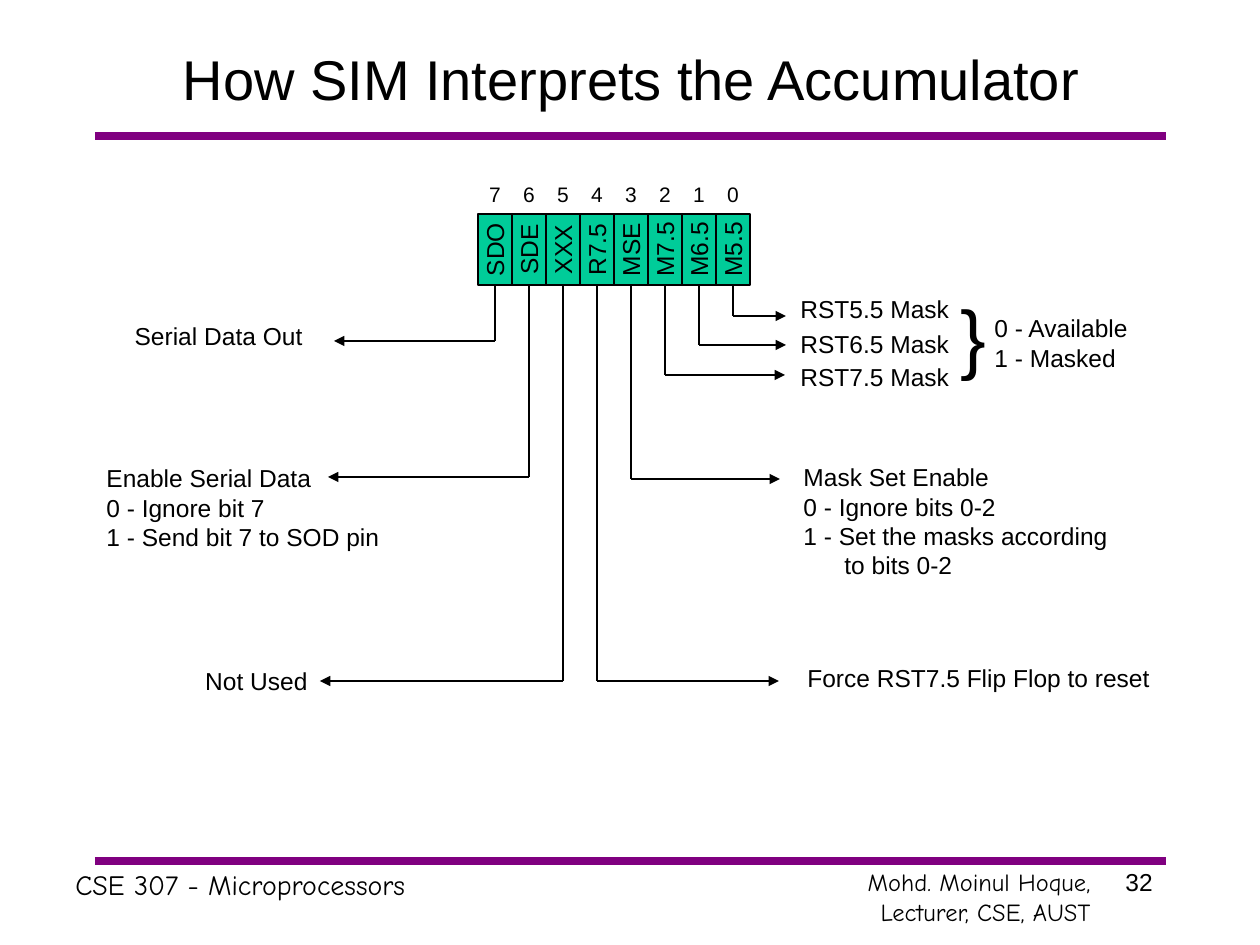
from pptx import Presentation
from pptx.dml.color import RGBColor
from pptx.enum.shapes import MSO_CONNECTOR, MSO_SHAPE
from pptx.enum.text import MSO_ANCHOR, PP_ALIGN
from pptx.oxml.ns import qn
from pptx.util import Emu, Pt
from lxml.etree import SubElement

PX = 914400 / 126
COLORS = {"text": "000000", "rule": "800080", "register": "00CC99"}
LEFT, CENTER, RIGHT = PP_ALIGN.LEFT, PP_ALIGN.CENTER, PP_ALIGN.RIGHT

# Register geometry
REG_X, REG_Y, CELL_W, REG_H = 478, 214, 34, 71

# Bit name, height where its lead turns, x of the arrow tip; bit 7 first
BITS = [
    ("SDO", 341, 334),
    ("SDE", 477, 328),
    ("XXX", 681, 320),
    ("R7.5", 681, 779),
    ("MSE", 479, 780),
    ("M7.5", 375, 785),
    ("M6.5", 345, 786),
    ("M5.5", 316, 786),
]

# Box, alignment, lines
LABELS = [
    ((115, 315, 200, 43), RIGHT, ["Serial Data Out"]),
    ((94, 457, 310, 101), LEFT,
     ["Enable Serial Data", "0 - Ignore bit 7", "1 - Send bit 7 to SOD pin"]),
    ((180, 660, 140, 43), RIGHT, ["Not Used"]),
    ((788, 288, 180, 43), LEFT, ["RST5.5 Mask"]),
    ((788, 323, 180, 43), LEFT, ["RST6.5 Mask"]),
    ((788, 356, 180, 43), LEFT, ["RST7.5 Mask"]),
    ((982, 307, 168, 72), LEFT, ["0 - Available", "1 - Masked"]),
    ((791, 456, 345, 131), LEFT,
     ["Mask Set Enable", "0 - Ignore bits 0-2", "1 - Set the masks according", "to bits 0-2"]),
    ((795, 657, 380, 43), LEFT, ["Force RST7.5 Flip Flop to reset"]),
]
CONTINUED, INDENT = "to bits 0-2", 41


def px(n):
    return Emu(round(n * PX))


def color(name):
    return RGBColor.from_string(COLORS[name])


def add_text(s, box, lines, size=14, align=LEFT, font="Arial",
             anchor=MSO_ANCHOR.TOP, rotation=0):
    tb = s.shapes.add_textbox(*map(px, box))
    tb.rotation = rotation
    tf = tb.text_frame
    tf.word_wrap = True
    tf.vertical_anchor = anchor
    tf.text = "\n".join(lines)
    for p in tf.paragraphs:
        p.alignment = align
        p.font.size = Pt(size)
        p.font.name = font
        p.font.color.rgb = color("text")
        if p.text == CONTINUED:
            p._p.get_or_add_pPr().set("marL", str(px(INDENT)))


def add_line(s, x1, y1, x2, y2, name="text", width=0.75, arrow=False):
    c = s.shapes.add_connector(MSO_CONNECTOR.STRAIGHT, *map(px, (x1, y1, x2, y2)))
    c.line.color.rgb = color(name)
    c.line.width = Pt(width)
    if arrow:
        SubElement(c.line._get_or_add_ln(), qn("a:tailEnd"), type="triangle")
    SubElement(c._element.spPr, qn("a:effectLst"))


def add_frame(s):
    for y in (136, 861):
        add_line(s, 95, y, 1166, y, "rule", 4.5)
    add_text(s, (96, 31, 1071, 95), ["How SIM Interprets the Accumulator"], 32, CENTER,
             anchor=MSO_ANCHOR.MIDDLE)
    add_text(s, (63, 861, 714, 47), ["CSE 307 - Microprocessors"], 16, font="Comic Neue")
    add_text(s, (798, 861, 305, 72), ["Mohd. Moinul Hoque, Lecturer, CSE, AUST"], 14,
             RIGHT, "Comic Neue")
    add_text(s, (1113, 861, 67, 63), ["32"])


def add_register(s):
    sp = s.shapes.add_shape(MSO_SHAPE.RECTANGLE,
                            *map(px, (REG_X, REG_Y, CELL_W * len(BITS), REG_H)))
    sp.shadow.inherit = False
    sp.fill.solid()
    sp.fill.fore_color.rgb = color("register")
    sp.line.color.rgb = color("text")
    sp.line.width = Pt(0.75)

    bottom = REG_Y + REG_H
    for i, (name, turn_y, tip_x) in enumerate(BITS):
        left = REG_X + i * CELL_W
        mid = left + CELL_W // 2
        if i:
            add_line(s, left, REG_Y, left, bottom)
        # Bit number above, rotated name inside
        add_text(s, (mid - 20, 175, 40, 38), [str(7 - i)], 12, CENTER)
        add_text(s, (mid - 45, 228, 90, 43), [name], align=CENTER, rotation=270)
        # Lead down, then arrow to the label
        add_line(s, mid, bottom, mid, turn_y)
        add_line(s, mid, turn_y, tip_x, turn_y, arrow=True)


def main():
    prs = Presentation()
    prs.slide_width, prs.slide_height = px(1260), px(945)
    s = prs.slides.add_slide(prs.slide_layouts[6])
    add_frame(s)
    add_register(s)
    for box, align, lines in LABELS:
        add_text(s, box, lines, align=align)
    # Brace joining the three masks
    add_text(s, (948, 282, 56, 106), ["}"], 44)
    prs.save("out.pptx")


if __name__ == "__main__":
    main()
